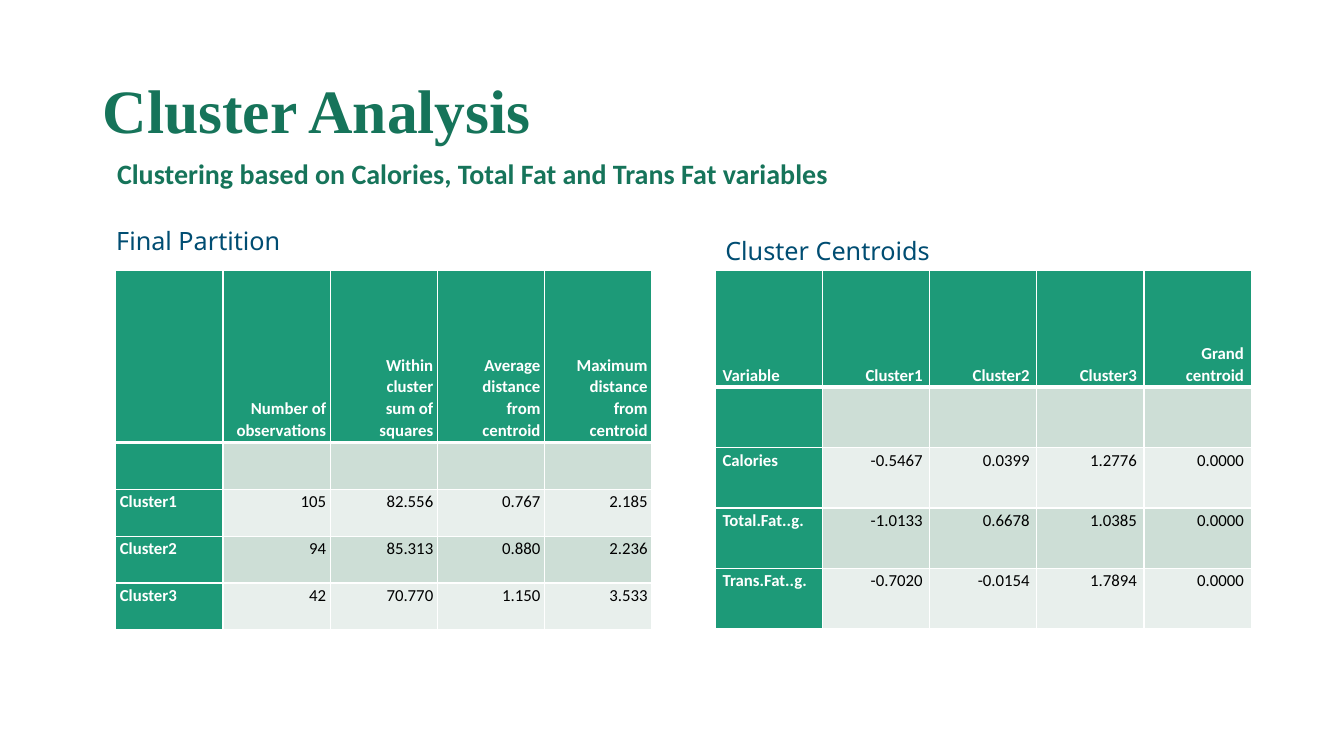
from copy import deepcopy

from lxml.etree import SubElement
from pptx import Presentation
from pptx.dml.color import RGBColor
from pptx.enum.text import MSO_ANCHOR, PP_ALIGN
from pptx.oxml.ns import qn
from pptx.util import Cm, Pt

WHITE = RGBColor(0xFF, 0xFF, 0xFF)
BLACK = RGBColor(0, 0, 0)
DARK_GREEN = RGBColor(0x16, 0x74, 0x5A)
GREEN = RGBColor(0x1D, 0x9A, 0x78)
BAND_DARK = RGBColor(0xCD, 0xDE, 0xD6)
BAND_LIGHT = RGBColor(0xE8, 0xEF, 0xEC)
NAVY = RGBColor(0x00, 0x4D, 0x72)

TITLE_FONT = dict(name="Times New Roman", size=Pt(44), bold=True, color=DARK_GREEN)
SUBTITLE_FONT = dict(name="Calibri", size=Pt(20), bold=True, color=DARK_GREEN)
CAPTION_FONT = dict(name="Noto Sans", size=Pt(18), bold=False, color=NAVY)
HEAD_FONT = dict(name="Calibri", size=Pt(12), bold=True, color=WHITE)
VALUE_FONT = dict(HEAD_FONT, bold=False, color=BLACK)

COL_WIDTH = 2.7
TABLE_TOP = 6.81

PARTITION = [
    ["", "Number of\nobservations", "Within\ncluster\nsum of\nsquares",
     "Average\ndistance\nfrom\ncentroid", "Maximum\ndistance\nfrom\ncentroid"],
    [""] * 5,
    ["Cluster1", "105", "82.556", "0.767", "2.185"],
    ["Cluster2", "94", "85.313", "0.880", "2.236"],
    ["Cluster3", "42", "70.770", "1.150", "3.533"],
]
CENTROIDS = [
    ["Variable", "Cluster1", "Cluster2", "Cluster3", "Grand\ncentroid"],
    [""] * 5,
    ["Calories", "-0.5467", "0.0399", "1.2776", "0.0000"],
    ["Total.Fat..g.", "-1.0133", "0.6678", "1.0385", "0.0000"],
    ["Trans.Fat..g.", "-0.7020", "-0.0154", "1.7894", "0.0000"],
]


def set_attrs(obj, values):
    for name, value in values.items():
        setattr(obj, name, value)


def write(p, text, font, **para):
    p.text = text
    set_attrs(p, para)
    for r in p.runs:
        for name, value in font.items():
            if name == "color":
                r.font.color.rgb = value
            else:
                setattr(r.font, name, value)
    for br in p._p.findall(qn("a:br")):
        br.insert(0, deepcopy(p.runs[0]._r.rPr))


def add_title(s, text):
    sp = s.shapes.title
    set_attrs(sp, dict(left=Cm(2.33), top=Cm(1.01), width=Cm(29.21), height=Cm(3.68)))
    sp.text_frame.vertical_anchor = MSO_ANCHOR.MIDDLE
    write(sp.text_frame.paragraphs[0], text, TITLE_FONT,
          alignment=PP_ALIGN.LEFT, line_spacing=0.9)


def add_text(s, text, left, top, width, font, **para):
    sp = s.shapes.add_textbox(Cm(left), Cm(top), Cm(width), Cm(1.1))
    tf = sp.text_frame
    tf.word_wrap = True
    write(tf.paragraphs[0], text, font, **para)


def add_borders(cell, row):
    tc_pr = cell._tc.get_or_add_tcPr()
    heavy = {("lnB", 0), ("lnT", 1)}
    for side in ("lnL", "lnR", "lnT", "lnB"):
        width = Pt(3) if (side, row) in heavy else Pt(1)
        ln = SubElement(tc_pr, qn(f"a:{side}"), w=str(width))
        fill = SubElement(ln, qn("a:solidFill"))
        SubElement(fill, qn("a:srgbClr"), val=str(WHITE))


def format_cell(cell, text, row, col, margin):
    is_head = row == 0 or col == 0
    add_borders(cell, row)
    cell.fill.solid()
    cell.fill.fore_color.rgb = GREEN if is_head else (BAND_LIGHT, BAND_DARK)[row % 2]
    set_attrs(cell, dict(
        margin_left=Cm(margin), margin_right=Cm(margin),
        margin_top=Cm(0.03), margin_bottom=Cm(0.03),
        vertical_anchor=MSO_ANCHOR.BOTTOM if row == 0 else MSO_ANCHOR.TOP))
    write(cell.text_frame.paragraphs[0], text, HEAD_FONT if is_head else VALUE_FONT,
          alignment=PP_ALIGN.RIGHT if col else PP_ALIGN.LEFT,
          line_spacing=1.07, space_before=Pt(4.5))


def add_table(s, data, left, head_height, row_height, margin):
    rows, cols = len(data), len(data[0])
    height = head_height + row_height * (rows - 1)
    table = s.shapes.add_table(rows, cols, Cm(left), Cm(TABLE_TOP),
                               Cm(COL_WIDTH * cols), Cm(height)).table
    table.first_col = True
    for column in table.columns:
        column.width = Cm(COL_WIDTH)
    for i, values in enumerate(data):
        table.rows[i].height = Cm(row_height if i else head_height)
        for j, text in enumerate(values):
            format_cell(table.cell(i, j), text, i, j, margin)


def main():
    prs = Presentation()
    prs.slide_width, prs.slide_height = Cm(33.87), Cm(19.05)
    s = prs.slides.add_slide(prs.slide_layouts[5])
    add_title(s, "Cluster Analysis")
    add_text(s, "Clustering based on Calories, Total Fat and Trans Fat variables",
             2.7, 3.81, 28.96, SUBTITLE_FONT)
    add_text(s, "Final Partition", 2.68, 5.64, 14, CAPTION_FONT, line_spacing=0.9)
    add_text(s, "Cluster Centroids", 18.03, 5.74, 7, CAPTION_FONT, line_spacing=1.07)
    add_table(s, PARTITION, 2.92, 4.34, 1.18, 0.1)
    add_table(s, CENTROIDS, 18.03, 2.95, 1.52, 0.18)
    prs.save("out.pptx")


main()
